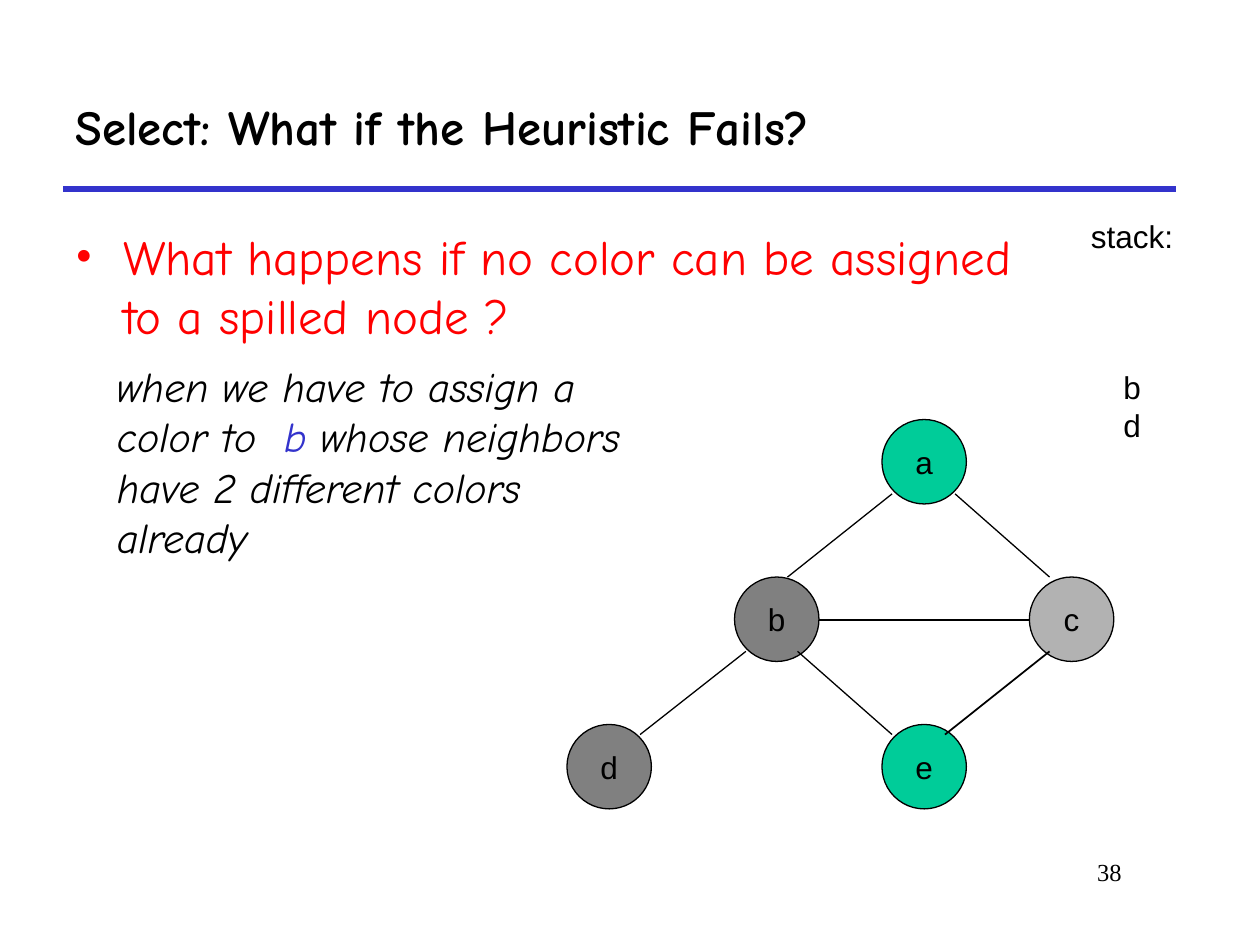
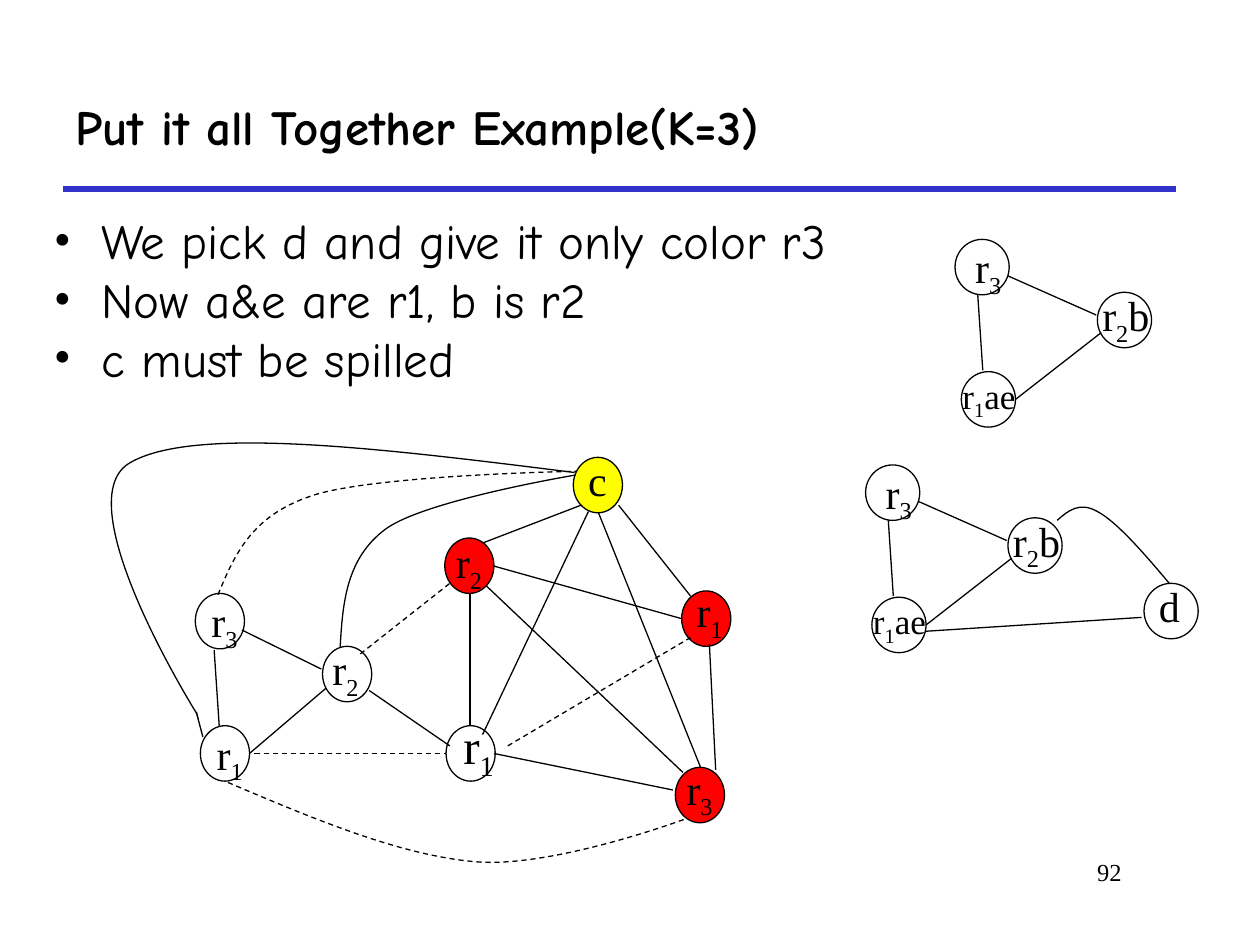
"""Build two slides on colouring interference graphs for register allocation."""
from dataclasses import dataclass
from typing import Any, NamedTuple, Optional

import lxml.etree
import pptx
import pptx.dml.color
import pptx.enum.dml
import pptx.enum.shapes
import pptx.enum.text
import pptx.oxml.ns
import pptx.util

Color = pptx.dml.color.RGBColor
Align = pptx.enum.text.PP_ALIGN
qn = pptx.oxml.ns.qn
BLACK = Color(0x00, 0x00, 0x00)
BLUE = Color(0x33, 0x33, 0xCC)
RED = Color(0xFF, 0x00, 0x00)
YELLOW = Color(0xFF, 0xFF, 0x00)
GREEN = Color(0x00, 0xCC, 0x99)
DARK_GRAY = Color(0x80, 0x80, 0x80)
LIGHT_GRAY = Color(0xB2, 0xB2, 0xB2)
COMIC, SANS, SERIF = "Comic Neue", "Arial", "Times New Roman"
GRID_CM = 2.54


class Point(NamedTuple):
    """A place on the slide, in grid units."""
    x: float
    y: float


class Edge(NamedTuple):
    """A straight line between two graph nodes."""
    x1: float
    y1: float
    x2: float
    y2: float
    dashed: bool = False
    width: float = 0.75


class Curve(NamedTuple):
    """A chain of cubic Bezier pieces: a start and three points per piece."""
    points: list[tuple[float, float]]
    dashed: bool = False


@dataclass
class Style:
    """The font of a paragraph."""
    font: str
    size: float
    color: Color = BLACK
    bold: bool = False
    italic: bool = False
    align: Any = Align.LEFT


@dataclass
class ColorNode:
    """A filled circle named by one letter, placed by its top left corner."""
    name: str
    x: float
    y: float
    fill: Color


@dataclass
class Register:
    """An oval with a register label, whose middle part is a subscript."""
    x: float
    y: float
    label: tuple[str, ...]
    shift: Point
    label_width: float = 0.41
    size: float = 24
    fill: Optional[Color] = None
    width: float = 0.39

    def moved(self, dx: float, dy: float) -> "Register":
        """Return the same register at a shifted place."""
        return Register(self.x + dx, self.y + dy, self.label, self.shift,
                        self.label_width, self.size, self.fill, self.width)


TITLE = Style(COMIC, 28, bold=True)
BODY = Style(COMIC, 28)
QUESTION = Style(COMIC, 28, RED)
REMARK = Style(COMIC, 24, italic=True)
NODE = Style(SANS, 18, align=Align.CENTER)
NUMBER = Style(SERIF, 14, align=Align.RIGHT)

COLOR_NODES = [
    ColorNode("b", 5.83, 4.58, DARK_GRAY),
    ColorNode("e", 7, 5.75, GREEN),
    ColorNode("d", 4.5, 5.75, DARK_GRAY),
    ColorNode("a", 7, 3.33, GREEN),
    ColorNode("c", 8.17, 4.58, LIGHT_GRAY),
]
COLOR_EDGES = [
    Edge(5.92, 5.17, 5.08, 5.83), Edge(6.33, 5.17, 7.08, 5.83),
    Edge(7.08, 3.92, 6.25, 4.58), Edge(7.58, 3.92, 8.33, 4.58),
    Edge(7.5, 5.83, 8.33, 5.17, width=1), Edge(6.5, 4.92, 8.17, 4.92),
]

TRIANGLE_NODES = [
    Register(7.58, 1.9, ("r", "3"), Point(0.06, -0.03), width=0.43),
    Register(7.63, 2.95, ("r", "1", "ae"), Point(-0.09, -0.03), 0.62, 20, width=0.43),
    Register(8.71, 2.32, ("r", "2", "b"), Point(-0.06, -0.07), 0.6, width=0.43),
]
TRIANGLE_EDGES = [
    Edge(8, 2.19, 8.7, 2.5), Edge(7.76, 2.34, 7.8, 2.94), Edge(8.06, 3.17, 8.74, 2.64),
]
TRIANGLE_MOVES = [Point(0, 0), Point(-0.71, 1.79)]

REGISTERS = [
    Register(9.08, 4.63, ("d",), Point(0.02, -0.07), 0.36, width=0.43),
    Register(1.55, 4.71, ("r", "3"), Point(0.03, -0.03)),
    Register(1.59, 5.76, ("r", "1"), Point(0.03, -0.03)),
    Register(3.54, 5.76, ("r", "1"), Point(0.04, -0.13), 0.44, 28),
    Register(2.56, 5.13, ("r", "2"), Point(-0.02, -0.07)),
    Register(4.55, 3.63, ("c",), Point(0.02, -0.07), 0.35, fill=YELLOW),
    Register(5.36, 6.09, ("r", "3"), Point(-0.01, -0.08), fill=RED),
    Register(3.53, 4.27, ("r", "2"), Point(-0.01, -0.06), fill=RED),
    Register(5.41, 4.69, ("r", "1"), Point(0.02, -0.09), fill=RED),
]
REGISTER_EDGES = [
    Edge(7.35, 5.01, 9.06, 4.9),
    Edge(1.92, 5, 2.55, 5.31), Edge(1.7, 5.16, 1.74, 5.76),
    Edge(1.98, 5.98, 2.59, 5.46), Edge(3.73, 4.71, 3.73, 5.75),
    Edge(3.92, 5.98, 5.34, 6.27), Edge(5.68, 6.11, 5.63, 5.11),
    Edge(3.91, 4.49, 5.41, 4.91), Edge(3.86, 4.65, 5.42, 6.13),
    Edge(3.83, 5.83, 4.67, 4.06), Edge(3.83, 4.31, 4.61, 4.01),
    Edge(4.91, 4.01, 5.48, 4.73), Edge(4.75, 4.07, 5.56, 6.09),
    Edge(2.93, 5.48, 3.57, 5.92),
    Edge(2.86, 5.19, 3.57, 4.63, True), Edge(2.02, 5.98, 3.54, 5.98, True),
    Edge(4.03, 5.92, 5.48, 5.06, True),
]
REGISTER_CURVES = [
    Curve([(8.39, 4.13), (8.48, 4.05), (8.57, 3.98), (8.71, 4.06),
           (8.86, 4.14), (9.07, 4.38), (9.28, 4.63)]),
    Curve([(2.7, 5.14), (2.72, 4.78), (2.75, 4.43), (3.06, 4.2),
           (3.37, 3.97), (4.57, 3.77), (4.57, 3.77)]),
    Curve([(1.73, 4.72), (1.86, 4.41), (1.99, 4.1), (2.46, 3.94),
           (2.93, 3.77), (4.57, 3.74), (4.57, 3.74)], True),
    Curve([(1.81, 6.21), (2.49, 6.5), (3.18, 6.79), (3.78, 6.84),
           (4.39, 6.89), (5.44, 6.5), (5.44, 6.5)], True),
    Curve([(4.56, 3.75), (3.04, 3.56), (1.52, 3.37), (1.02, 3.68),
           (0.52, 4), (1.56, 5.66), (1.56, 5.66),
           (1.65, 5.99), (1.6, 5.82), (1.56, 5.65)]),
]


def grid(value: float) -> int:
    """Turn grid units into a slide length."""
    return pptx.util.Cm(value * GRID_CM)


def set_style(para: Any, style: Style) -> None:
    """Give a paragraph its font and alignment."""
    font = para.font
    font.name, font.size = style.font, pptx.util.Pt(style.size)
    font.bold, font.italic = style.bold, style.italic
    font.color.rgb = style.color
    para.alignment = style.align


def set_line(line: Any, width: float = 0.75, dashed: bool = False, color: Color = BLACK) -> None:
    """Give an outline or connector its colour, width and dash."""
    line.color.rgb = color
    line.width = pptx.util.Pt(width)
    if dashed:
        line.dash_style = pptx.enum.dml.MSO_LINE.DASH


def add_text(page: Any, x: float, y: float, width: float, height: float, lines: list[str],
             style: Style, wrap: bool = True) -> Any:
    """Add a text box with one paragraph per line and return its frame."""
    frame = page.shapes.add_textbox(*map(grid, (x, y, width, height))).text_frame
    frame.word_wrap = wrap
    if not wrap:
        frame.auto_size = pptx.enum.text.MSO_AUTO_SIZE.SHAPE_TO_FIT_TEXT
    frame.text = "\n".join(lines)
    for para in frame.paragraphs:
        set_style(para, style)
    return frame


def add_bullets(page: Any, x: float, y: float, width: float, height: float, lines: list[str],
                style: Style) -> None:
    """Add a text box of bulleted paragraphs."""
    for para in add_text(page, x, y, width, height, lines, style).paragraphs:
        properties = para._p.get_or_add_pPr()
        properties.set("marL", str(grid(0.38)))
        properties.set("indent", str(grid(-0.38)))
        tint = lxml.etree.Element(qn("a:buClr"))
        lxml.etree.SubElement(tint, qn("a:srgbClr")).set("val", str(style.color))
        face = lxml.etree.Element(qn("a:buFont"))
        face.set("typeface", SERIF)
        mark = lxml.etree.Element(qn("a:buChar"))
        mark.set("char", "•")
        for place, part in enumerate((tint, face, mark)):
            properties.insert(place, part)


def add_edge(page: Any, edge: Edge, color: Color = BLACK) -> None:
    """Draw a straight line."""
    ends = map(grid, edge[:4])
    connector = page.shapes.add_connector(pptx.enum.shapes.MSO_CONNECTOR.STRAIGHT, *ends)
    set_line(connector.line, edge.width, edge.dashed, color)
    lxml.etree.SubElement(connector._element.spPr, qn("a:effectLst"))


def add_curve(page: Any, curve: Curve) -> None:
    """Draw an open outline and bend each three of its segments into a Bezier piece."""
    start, *rest = [tuple(map(grid, point)) for point in curve.points]
    builder = page.shapes.build_freeform(*start)
    builder.add_line_segments(rest, close=False)
    shape = builder.convert_to_shape()
    segments = list(shape._element.spPr.iter(qn("a:lnTo")))
    outline = segments[0].getparent()
    for first in range(0, len(segments), 3):
        piece = lxml.etree.SubElement(outline, qn("a:cubicBezTo"))
        for segment in segments[first:first + 3]:
            piece.append(segment[0])
            outline.remove(segment)
    shape.shadow.inherit = False
    shape.fill.background()
    set_line(shape.line, dashed=curve.dashed)


def add_oval(page: Any, x: float, y: float, width: float, height: float,
             fill: Optional[Color]) -> Any:
    """Draw an outlined oval, filled when a colour is given."""
    oval = page.shapes.add_shape(pptx.enum.shapes.MSO_SHAPE.OVAL,
                                 *map(grid, (x, y, width, height)))
    oval.shadow.inherit = False
    set_line(oval.line)
    if fill is None:
        oval.fill.background()
    else:
        oval.fill.solid()
        oval.fill.fore_color.rgb = fill
    return oval


def add_color_node(page: Any, node: ColorNode) -> None:
    """Draw a coloured circle with its letter inside."""
    frame = add_oval(page, node.x, node.y, 0.67, 0.67, node.fill).text_frame
    frame.word_wrap = False
    frame.vertical_anchor = pptx.enum.text.MSO_ANCHOR.MIDDLE
    frame.text = node.name
    set_style(frame.paragraphs[0], NODE)


def add_register(page: Any, node: Register) -> None:
    """Draw a register oval and its label with a subscript."""
    add_oval(page, node.x, node.y, node.width, 0.44, node.fill)
    height = 0.5 if len(node.label) == 1 else node.size / 50 + 0.08
    frame = add_text(page, node.x + node.shift.x, node.y + node.shift.y, node.label_width,
                     height, [""], Style(SERIF, node.size), wrap=False)
    for index, part in enumerate(node.label):
        span = frame.paragraphs[0].add_run()
        span.text = part
        if index == 1:
            span._r.get_or_add_rPr().set("baseline", "-25000")


def add_page(deck: Any, title: str, number: int) -> Any:
    """Add a slide with the shared rule, title and page number."""
    page = deck.slides.add_slide(deck.slide_layouts[6])
    add_edge(page, Edge(0.5, 1.5, 9.33, 1.5, width=3), BLUE)
    frame = add_text(page, 0.5, 0.5, 8.83, 1, [title], TITLE)
    frame.vertical_anchor = pptx.enum.text.MSO_ANCHOR.MIDDLE
    add_text(page, 6.92, 6.75, 2.08, 0.5, [str(number)], NUMBER)
    return page


def build_heuristic_page(deck: Any) -> None:
    """Show a graph where the spilled node finds no colour."""
    page = add_page(deck, "Select: What if the Heuristic Fails?", 38)
    add_bullets(page, 0.5, 1.75, 8, 1.08,
                ["What happens if no color can be assigned to a spilled node ?"], QUESTION)
    for node in COLOR_NODES:
        add_color_node(page, node)
    for edge in COLOR_EDGES:
        add_edge(page, edge)
    stack = add_text(page, 8.56, 1.67, 0.85, 2.2, ["stack:", "b", "d"], NODE, wrap=False)
    stack.paragraphs[1].space_before = pptx.util.Pt(65)
    para = add_text(page, 0.33, 2.81, 5, 1.7, [""], REMARK).paragraphs[0]
    para._p.get_or_add_pPr().set("marL", str(grid(0.5)))
    for text, color in (("when we have to assign a color to ", BLACK), (" b ", BLUE),
                        ("whose neighbors have 2 different colors already", BLACK)):
        span = para.add_run()
        span.text = text
        span.font.color.rgb = color


def build_example_page(deck: Any) -> None:
    """Show the register graph and its two reduced forms."""
    page = add_page(deck, "Put it all Together Example(K=3)", 92)
    add_bullets(page, 0.33, 1.62, 7.16, 1.72,
                ["We pick d and give it only color r3", "Now a&e are r1, b is r2",
                 "c must be spilled"], BODY)
    for dx, dy in TRIANGLE_MOVES:
        for node in TRIANGLE_NODES:
            add_register(page, node.moved(dx, dy))
        for x1, y1, x2, y2, *_ in TRIANGLE_EDGES:
            add_edge(page, Edge(x1 + dx, y1 + dy, x2 + dx, y2 + dy))
    for node in REGISTERS:
        add_register(page, node)
    for edge in REGISTER_EDGES:
        add_edge(page, edge)
    for curve in REGISTER_CURVES:
        add_curve(page, curve)


def main() -> None:
    """Build and save the deck."""
    deck = pptx.Presentation()
    deck.slide_width, deck.slide_height = grid(10), grid(7.5)
    build_heuristic_page(deck)
    build_example_page(deck)
    deck.save("out.pptx")


if __name__ == "__main__":
    main()
